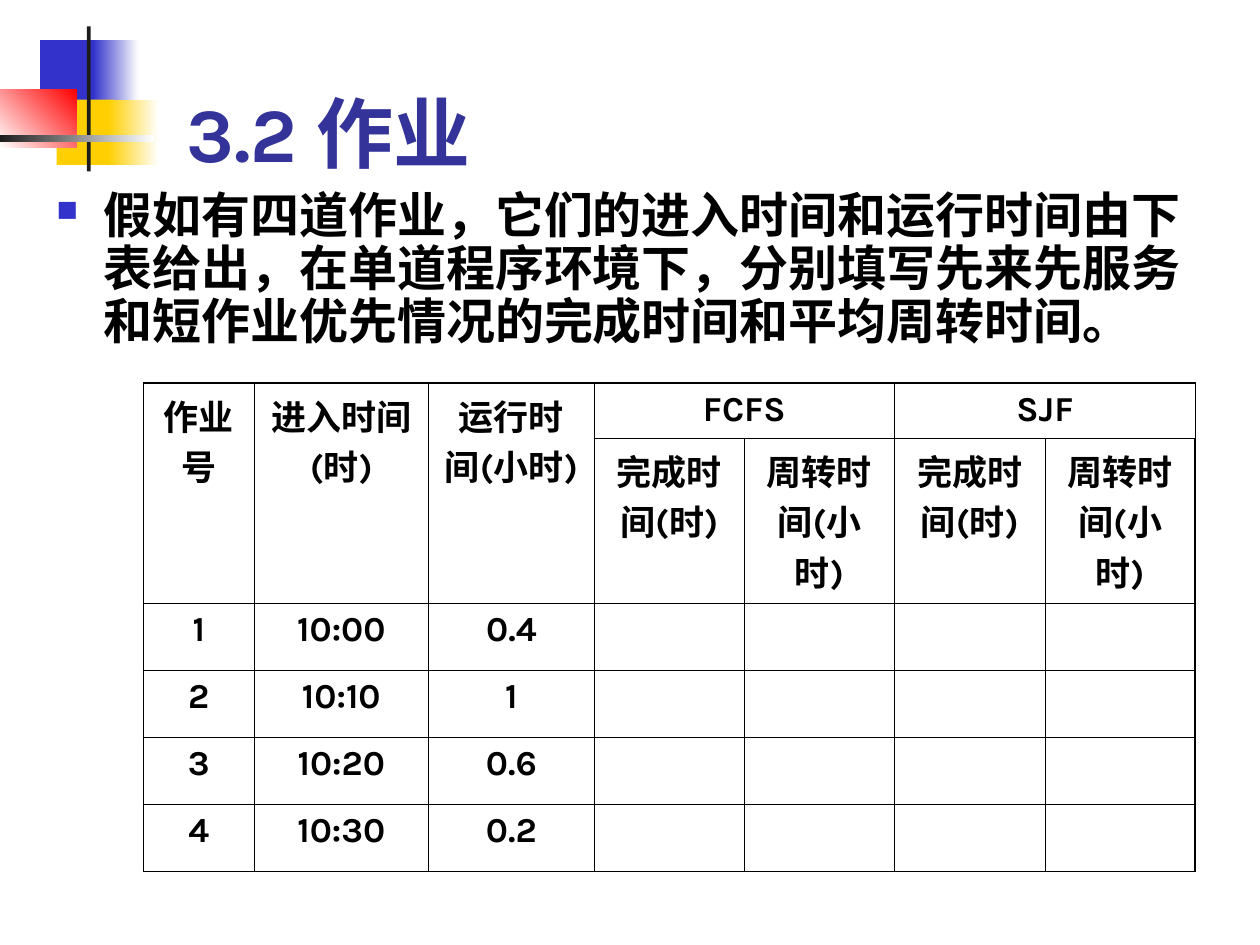
from dataclasses import dataclass

from lxml.etree import SubElement
from pptx import Presentation
from pptx.dml.color import RGBColor
from pptx.enum.shapes import MSO_SHAPE
from pptx.enum.text import MSO_ANCHOR, PP_ALIGN
from pptx.oxml.ns import qn
from pptx.util import Pt


@dataclass(frozen=True)
class Theme:
    font: str = "Karla"
    blue: str = "3333CC"
    yellow: str = "FFCF01"
    red: str = "FF0000"
    dark: str = "1C1C1C"
    white: str = "FFFFFF"
    black: str = "000000"
    title_color: str = "333399"
    title_size: float = 44
    body_size: float = 28
    table_size: float = 20
    outer_line: float = 1.08
    inner_line: float = 0.45


THEME = Theme()

# Left, top, width, height, colours (two make a gradient), angle
ORNAMENT = [
    (23, 23, 34.6, 37.4, [THEME.blue], 0),
    (53.3, 23, 25.9, 37.4, [THEME.blue, THEME.white], 0),
    (32.4, 56.9, 33.1, 37.4, [THEME.yellow], 0),
    (61.9, 56.9, 28.8, 37.4, [THEME.yellow, THEME.white], 0),
    (0, 51.1, 43.9, 33.1, [THEME.white, THEME.red], 45),
    (49.7, 15.1, 2.2, 82.8, [THEME.dark], 0),
    (0, 77, 87.8, 4.3, [THEME.dark, THEME.white], 0),
]

FINISH, TURNAROUND = "完成时间(时)", "周转时间(小时)"
TABLE_ROWS = [
    ["作业号", "进入时间(时)", "运行时间(小时)", "FCFS", "", "SJF", ""],
    ["", "", "", FINISH, TURNAROUND, FINISH, TURNAROUND],
    ["1", "10:00", "0.4", "", "", "", ""],
    ["2", "10:10", "1", "", "", "", ""],
    ["3", "10:20", "0.6", "", "", "", ""],
    ["4", "10:30", "0.2", "", "", "", ""],
]
COLUMN_WIDTHS = [63, 100, 94.4] + [85.9] * 4
ROW_HEIGHTS = [31.4, 94.3] + [38.4] * 4
# First and last cell of each merged heading, as (row, column)
MERGES = [((0, column), (1, column)) for column in range(3)]
MERGES += [((0, column), (0, column + 1)) for column in (3, 5)]


def write_text(paragraph, text, *, size, color=THEME.black, align=None, line_spacing=None):
    """Put one bold run into a paragraph."""
    if align is not None:
        paragraph.alignment = align
    if line_spacing is not None:
        paragraph.line_spacing = line_spacing
    run = paragraph.add_run()
    run.text = text
    run.font.name = THEME.font
    run.font.size = Pt(size)
    run.font.bold = True
    run.font.color.rgb = RGBColor.from_string(color)


def add_block(slide, left, top, width, height, colors, angle):
    shape = slide.shapes.add_shape(
        MSO_SHAPE.RECTANGLE, Pt(left), Pt(top), Pt(width), Pt(height))
    shape.shadow.inherit = False
    shape.line.fill.background()
    if len(colors) == 1:
        shape.fill.solid()
        shape.fill.fore_color.rgb = RGBColor.from_string(colors[0])
        return
    shape.fill.gradient()
    shape.fill.gradient_angle = angle
    for stop, color in zip(shape.fill.gradient_stops, colors):
        stop.color.rgb = RGBColor.from_string(color)


def add_text_box(slide, left, top, width, height, anchor):
    """Add an empty wrapping box and return its first paragraph."""
    frame = slide.shapes.add_textbox(Pt(left), Pt(top), Pt(width), Pt(height)).text_frame
    frame.word_wrap = True
    frame.vertical_anchor = anchor
    return frame.paragraphs[0]


def add_square_bullet(paragraph, indent):
    properties = paragraph._p.get_or_add_pPr()
    properties.set("marL", str(Pt(indent)))
    properties.set("indent", str(-Pt(indent)))
    bullet_color = SubElement(properties, qn("a:buClr"))
    SubElement(bullet_color, qn("a:srgbClr"), val=THEME.blue)
    SubElement(properties, qn("a:buSzPct"), val="60000")
    SubElement(properties, qn("a:buChar"), char="■")


def set_borders(cell, widths):
    """Draw the cell's sides; widths maps lnL, lnR, lnT and lnB to points."""
    properties = cell._tc.get_or_add_tcPr()
    for side, width in widths.items():
        line = SubElement(properties, qn(f"a:{side}"), w=str(Pt(width)))
        fill = SubElement(line, qn("a:solidFill"))
        SubElement(fill, qn("a:srgbClr"), val=THEME.black)


def add_job_table(slide, left, top):
    row_count, column_count = len(ROW_HEIGHTS), len(COLUMN_WIDTHS)
    table = slide.shapes.add_table(
        row_count, column_count, Pt(left), Pt(top),
        Pt(sum(COLUMN_WIDTHS)), Pt(sum(ROW_HEIGHTS))).table
    table.first_row = table.horz_banding = False
    for column, width in zip(table.columns, COLUMN_WIDTHS):
        column.width = Pt(width)
    for row, height in zip(table.rows, ROW_HEIGHTS):
        row.height = Pt(height)
    for first, last in MERGES:
        table.cell(*first).merge(table.cell(*last))

    for row_index, texts in enumerate(TABLE_ROWS):
        for column_index, text in enumerate(texts):
            cell = table.cell(row_index, column_index)
            on_edge = {
                "lnL": column_index == 0,
                "lnR": column_index == column_count - 1,
                "lnT": row_index == 0,
                "lnB": row_index == row_count - 1,
            }
            set_borders(cell, {
                side: THEME.outer_line if outer else THEME.inner_line
                for side, outer in on_edge.items()})
            cell.fill.background()
            if text:
                write_text(cell.text_frame.paragraphs[0], text,
                           size=THEME.table_size, align=PP_ALIGN.CENTER)


def main():
    presentation = Presentation()
    presentation.slide_width, presentation.slide_height = Pt(720), Pt(540)
    slide = presentation.slides.add_slide(presentation.slide_layouts[6])

    # Corner ornament
    for block in ORNAMENT:
        add_block(slide, *block)

    # Title
    title = add_text_box(slide, 99.4, 15.1, 672.5, 90, MSO_ANCHOR.BOTTOM)
    write_text(title, "3.2 作业", size=THEME.title_size, color=THEME.title_color)

    # Problem statement
    statement = add_text_box(slide, 25.2, 105.8, 676, 103, MSO_ANCHOR.TOP)
    add_square_bullet(statement, 27)
    write_text(
        statement,
        "假如有四道作业，它们的进入时间和运行时间由下表给出，在单道程序环境下，"
        "分别填写先来先服务和短作业优先情况的完成时间和平均周转时间。",
        size=THEME.body_size, line_spacing=0.9)

    # Job table
    add_job_table(slide, 82.1, 218.9)

    presentation.save("out.pptx")


if __name__ == "__main__":
    main()
